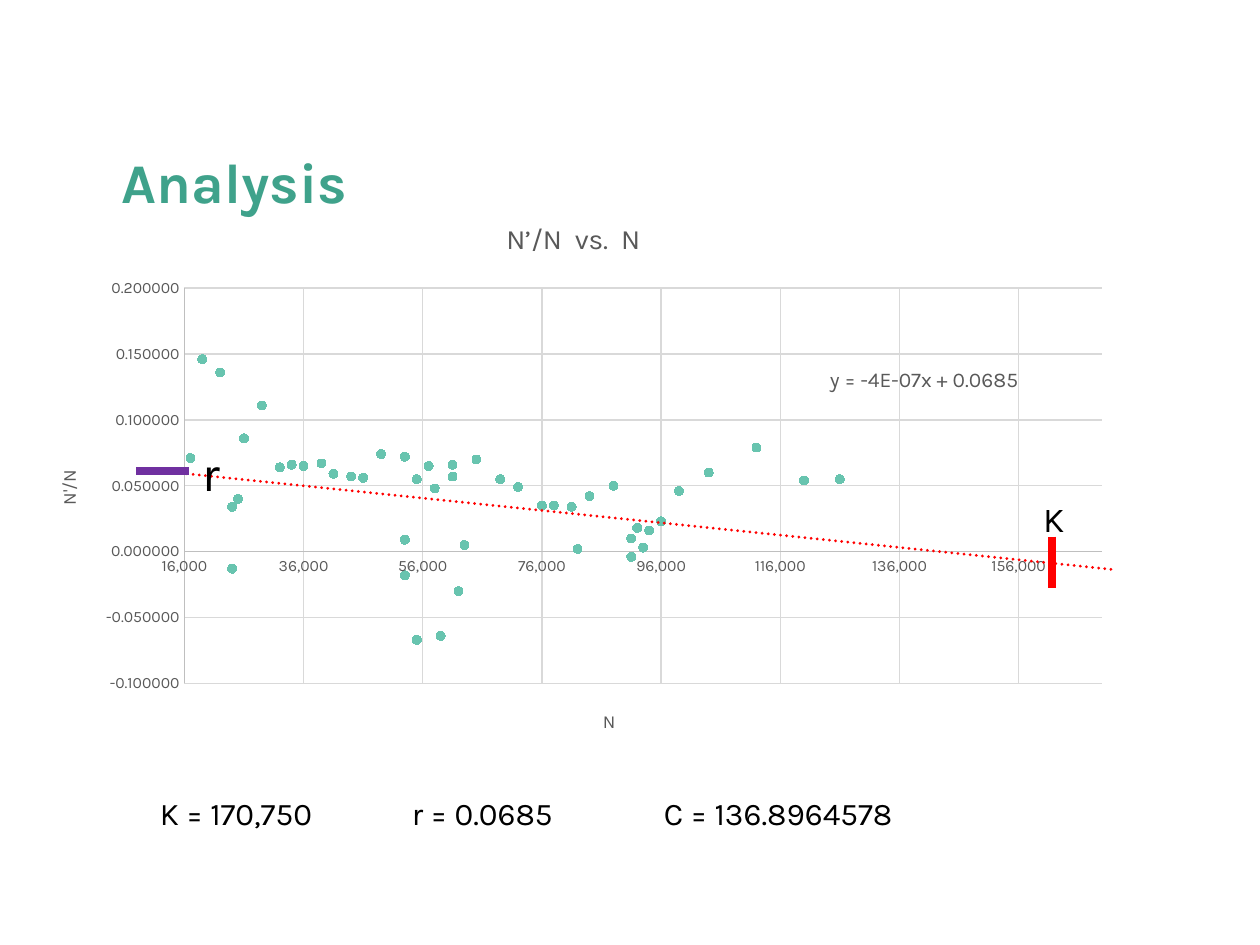
from dataclasses import dataclass
from typing import Optional

from lxml.etree import SubElement
from pptx import Presentation
from pptx.chart.data import XyChartData
from pptx.dml.color import RGBColor
from pptx.enum.chart import XL_CHART_TYPE as ChartType, XL_MARKER_STYLE as MarkerStyle, XL_TICK_MARK as TickMark
from pptx.enum.dml import MSO_LINE_DASH_STYLE as DashStyle
from pptx.enum.shapes import MSO_CONNECTOR_TYPE as ConnectorType
from pptx.enum.text import MSO_ANCHOR as Anchor, MSO_AUTO_SIZE as AutoSize, PP_ALIGN as Align
from pptx.oxml import parse_xml
from pptx.oxml.ns import nsdecls, qn
from pptx.util import Inches, Pt

FONT = "Karla"
COLORS = {
    "heading": "3FA28B", "black": "000000", "label": "595959", "axis": "BFBFBF",
    "grid": "D9D9D9", "point": "68C4AF", "trend": "FF0000", "rate": "7030A0",
}
POINTS = [
    (17000, 0.071), (19000, 0.146), (22000, 0.136), (24000, 0.034),
    (24000, -0.013), (25000, 0.04), (26000, 0.086), (29000, 0.111),
    (32000, 0.064), (34000, 0.066), (36000, 0.065), (39000, 0.067),
    (41000, 0.059), (44000, 0.057), (46000, 0.056), (49000, 0.074),
    (53000, 0.072), (57000, 0.065), (61000, 0.066), (63000, 0.005),
    (62000, -0.03), (59000, -0.064), (55000, -0.067), (53000, -0.018),
    (53000, 0.009), (55000, 0.055), (58000, 0.048), (61000, 0.057),
    (65000, 0.07), (69000, 0.055), (72000, 0.049), (76000, 0.035),
    (78000, 0.035), (81000, 0.034), (82000, 0.002), (84000, 0.042),
    (88000, 0.05), (91000, 0.01), (91000, -0.004), (92000, 0.018),
    (93000, 0.003), (94000, 0.016), (96000, 0.023), (99000, 0.046),
    (104000, 0.06), (112000, 0.079), (120000, 0.054), (126000, 0.055),
]


@dataclass
class Label:
    text: str
    left: float
    top: float
    width: float
    height: float
    size: float
    color: str = "black"
    bold: bool = False
    wrap: bool = True
    align: Align = Align.LEFT
    anchor: Anchor = Anchor.TOP
    grow: bool = True
    spacing: Optional[float] = None
    tabs: tuple[float, ...] = ()


@dataclass
class Line:
    start: tuple[float, float]
    end: tuple[float, float]
    color: str
    width: float
    dotted: bool = False


@dataclass
class AxisStyle:
    title: str
    title_at: tuple[float, float]
    minimum: float
    maximum: float
    unit: float
    number_format: str


LABELS = [
    Label("Analysis", 0.87, 0.58, 7.13, 1.17, 32, "heading", bold=True,
          anchor=Anchor.BOTTOM, grow=False, spacing=0.8),
    Label("r", 1.51, 3.46, 1.33, 0.57, 28),
    Label("K", 8.18, 3.9, 1.33, 0.44, 20),
    Label("K = 170,750\tr = 0.0685\tC = 136.8964578", 1.17, 6.25, 6.33, 0.4, 18, tabs=(2, 4)),
    Label("y = -4E-07x + 0.0685", 6.48, 2.86, 1.71, 0.3, 12, "label",
          wrap=False, align=Align.CENTER),
]
LINES = [
    Line((1.29, 3.74), (8.83, 4.52), "trend", 1.75, dotted=True),
    Line((1.08, 3.74), (1.5, 3.74), "rate", 4.5),
    Line((8.35, 4.26), (8.35, 4.67), "trend", 4.5),
]
N_AXIS = AxisStyle("N", (0.52, 0.91), 16000, 170000, 20000, "#,##0")
GROWTH_AXIS = AxisStyle("N'/N", (0.02, 0.48), -0.1, 0.2, 0.05, "0.000000")


def rgb(color: str) -> RGBColor:
    return RGBColor.from_string(COLORS[color])


def style_font(font, size: float, color: str, bold: bool = False) -> None:
    font.name, font.size, font.bold = FONT, Pt(size), bold
    font.color.rgb = rgb(color)


def style_line(line, color: str, width: float) -> None:
    line.color.rgb = rgb(color)
    line.width = Pt(width)


def add_label(slide, label: Label) -> None:
    shape = slide.shapes.add_textbox(
        Inches(label.left), Inches(label.top), Inches(label.width), Inches(label.height))
    frame = shape.text_frame
    frame.word_wrap = label.wrap
    frame.auto_size = AutoSize.SHAPE_TO_FIT_TEXT if label.grow else AutoSize.NONE
    frame.vertical_anchor = label.anchor
    paragraph = frame.paragraphs[0]
    paragraph.alignment = label.align
    paragraph.line_spacing = label.spacing
    if label.tabs:
        stops = SubElement(paragraph._p.get_or_add_pPr(), qn("a:tabLst"))
        for position in label.tabs:
            SubElement(stops, qn("a:tab"), pos=str(Inches(position)), algn="l")
    run = paragraph.add_run()
    run.text = label.text
    style_font(run.font, label.size, label.color, label.bold)


def add_line(slide, line: Line) -> None:
    connector = slide.shapes.add_connector(
        ConnectorType.STRAIGHT, *map(Inches, line.start + line.end))
    style_line(connector.line, line.color, line.width)
    properties = connector._element.spPr
    if line.dotted:
        connector.line.dash_style = DashStyle.ROUND_DOT
        properties.find(qn("a:ln")).set("cap", "rnd")
    SubElement(properties, qn("a:effectLst"))


def set_layout(element, **values: float) -> None:
    for old in element.findall(qn("c:layout")):
        element.remove(old)
    target = '<c:layoutTarget val="inner"/>' if "w" in values else ""
    modes = "".join(f'<c:{key}Mode val="edge"/>' for key in ("x", "y"))
    places = "".join(f'<c:{key} val="{value}"/>' for key, value in values.items())
    layout = parse_xml(f'<c:layout {nsdecls("c")}><c:manualLayout>{target}{modes}{places}'
                       '</c:manualLayout></c:layout>')
    element.insert(0 if element.find(qn("c:tx")) is None else 1, layout)


def add_title(owner, text: str, size: float, place: tuple[float, float]) -> None:
    owner.has_title = True
    title = owner.chart_title if hasattr(owner, "chart_title") else owner.axis_title
    run = title.text_frame.paragraphs[0].add_run()
    run.text = text
    style_font(run.font, size, "label")
    set_layout(title._element, x=place[0], y=place[1])


def style_axis(axis, style: AxisStyle) -> None:
    axis.minimum_scale, axis.maximum_scale = style.minimum, style.maximum
    axis.major_unit = style.unit
    axis.major_tick_mark = axis.minor_tick_mark = TickMark.NONE
    axis.has_major_gridlines = True
    style_line(axis.major_gridlines.format.line, "grid", 0.75)
    style_line(axis.format.line, "axis", 0.75)
    axis.tick_labels.number_format = style.number_format
    axis.tick_labels.number_format_is_linked = False
    style_font(axis.tick_labels.font, 9, "label")
    add_title(axis, style.title, 10.5, style.title_at)


def add_growth_chart(slide) -> None:
    data = XyChartData()
    points = data.add_series("Series 1")
    for population, growth in POINTS:
        points.add_data_point(population, growth)
    chart = slide.shapes.add_chart(
        ChartType.XY_SCATTER, Inches(0.25), Inches(1.58), Inches(8.67), Inches(4.42), data).chart
    style_font(chart.font, 10, "black")
    chart.has_legend = False
    add_title(chart, "N’/N  vs.  N", 16, (0.43, 0.03))
    style_axis(chart.category_axis, N_AXIS)
    style_axis(chart.value_axis, GROWTH_AXIS)
    plot = chart.plots[0]
    plot.vary_by_categories = False
    series = plot.series[0]
    series.format.line.fill.background()
    series.marker.style = MarkerStyle.CIRCLE
    series.marker.size = 5
    series.marker.format.fill.solid()
    series.marker.format.fill.fore_color.rgb = rgb("point")
    style_line(series.marker.format.line, "point", 0.75)
    set_layout(chart._chartSpace.chart.plotArea, x=0.14, y=0.16, w=0.84, h=0.71)


def main() -> None:
    presentation = Presentation()
    presentation.slide_width, presentation.slide_height = Inches(10), Inches(7.5)
    slide = presentation.slides.add_slide(presentation.slide_layouts[6])
    add_growth_chart(slide)
    for line in LINES:
        add_line(slide, line)
    for label in LABELS:
        add_label(slide, label)
    presentation.save("out.pptx")


if __name__ == "__main__":
    main()
